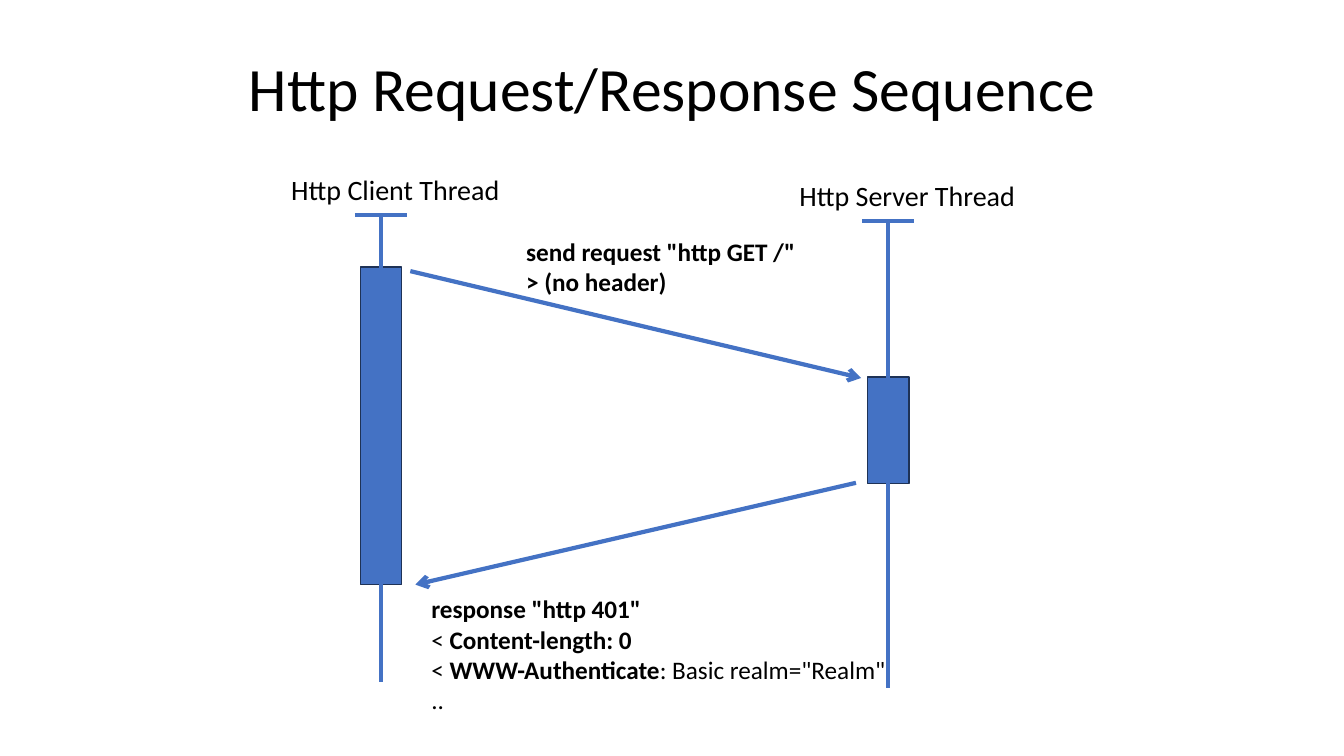
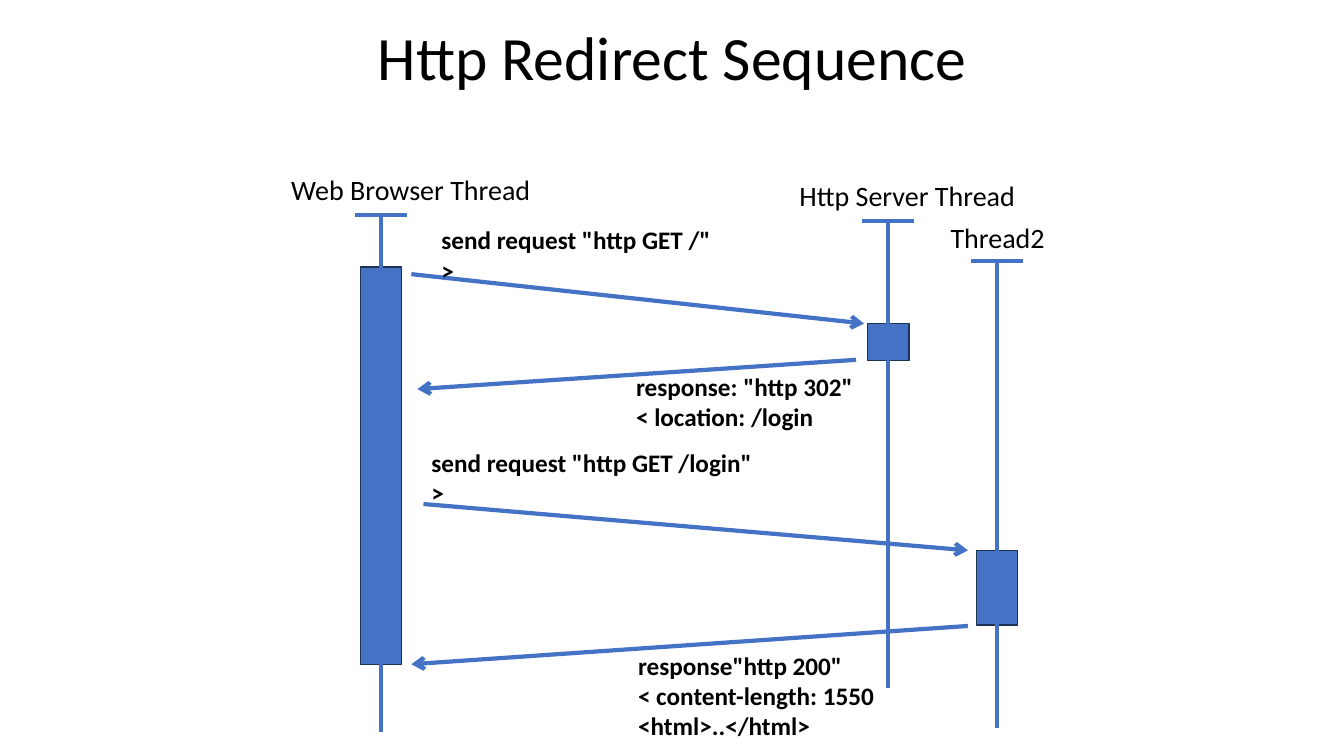
from dataclasses import dataclass

from lxml import etree
from pptx import Presentation
from pptx.dml.color import RGBColor
from pptx.enum.shapes import MSO_CONNECTOR, MSO_SHAPE
from pptx.enum.text import MSO_ANCHOR, MSO_AUTO_SIZE, PP_ALIGN
from pptx.oxml.ns import qn
from pptx.util import Inches, Pt


@dataclass(frozen=True)
class Theme:
    font: str = "Calibri"
    text: RGBColor = RGBColor(0x00, 0x00, 0x00)
    accent: RGBColor = RGBColor(0x44, 0x72, 0xC4)
    outline: RGBColor = RGBColor(0x1E, 0x32, 0x56)
    title_size: int = 44
    lane_size: int = 20
    message_size: int = 18
    line_width: int = 3
    outline_width: int = 1


THEME = Theme()
BAR_WIDTH = 0.41
CAP_WIDTH = 0.52


def bold(*lines):
    """One bold run for each line."""
    return [[(line, True)] for line in lines]


# Lengths are inches. Boxes are (left, top, width, height);
# "span" and "active" are the top and bottom of a lifeline and of its bar.
SERVER = {"name": "Http Server Thread", "label": (7.83, 1.72, 2.37, 0.44),
          "x": 8.81, "span": (2.19, 6.83)}
SEQUENCES = [
    {
        "title": "Http Request/Response Sequence",
        "title_box": (0.92, 0.23, 11.5, 1.36),
        "lanes": [
            {"name": "Http Client Thread", "label": (2.79, 1.66, 2.3, 0.44),
             "x": 3.78, "span": (2.13, 6.77), "active": (2.65, 5.8)},
            {**SERVER, "active": (3.74, 4.8)},
        ],
        "messages": [
            {"start": (4.07, 2.69), "end": (8.54, 3.75),
             "box": (5.12, 2.29, 2.9, 0.71),
             "lines": bold('send request "http GET /"', "> (no header)")},
            {"start": (8.49, 4.79), "end": (4.12, 5.8),
             "box": (4.18, 5.84, 4.77, 1.31),
             "lines": [
                 [('response "http 401"', True)],
                 [("< ", False), ("Content-length: 0", True)],
                 [("< ", False), ("WWW-Authenticate", True),
                  (': Basic realm="Realm"', False)],
                 [("..", False)],
             ]},
        ],
    },
    {
        "title": "Http Redirect Sequence",
        "title_box": (0.92, 0.05, 11.5, 1.11),
        "lanes": [
            {"name": "Web Browser Thread", "label": (2.79, 1.66, 2.59, 0.44),
             "x": 3.78, "span": (2.13, 7.26), "active": (2.65, 6.59)},
            {**SERVER, "active": (3.21, 3.58)},
            {"name": "Thread2", "label": (9.33, 2.14, 1.14, 0.44),
             "x": 9.89, "span": (2.59, 7.22), "active": (5.46, 6.2)},
        ],
        "messages": [
            {"start": (4.08, 2.72), "end": (8.57, 3.21),
             "box": (4.28, 2.18, 2.9, 0.71),
             "lines": bold('send request "http GET /"', ">")},
            {"start": (8.49, 3.57), "end": (4.14, 3.86),
             "box": (6.21, 3.63, 2.38, 0.71),
             "lines": bold('response: "http 302"', "< location: /login")},
            {"start": (4.2, 5), "end": (9.6, 5.46),
             "box": (4.18, 4.39, 3.41, 0.71),
             "lines": bold('send request "http GET /login"', ">")},
            {"start": (9.6, 6.21), "end": (4.08, 6.59),
             "box": (6.23, 6.4, 2.57, 1.01),
             "lines": bold('response"http 200"', "< content-length: 1550",
                           "<html>..</html>")},
        ],
    },
]


def add_text(slide, box, lines, size, wrap=False):
    """Add a text box; each line is a list of (text, bold) runs."""
    frame = slide.shapes.add_textbox(*map(Inches, box)).text_frame
    frame.word_wrap = wrap
    frame.auto_size = MSO_AUTO_SIZE.NONE if wrap else MSO_AUTO_SIZE.SHAPE_TO_FIT_TEXT
    for index, runs in enumerate(lines):
        paragraph = frame.add_paragraph() if index else frame.paragraphs[0]
        for text, is_bold in runs:
            run = paragraph.add_run()
            run.text = text
            run.font.name = THEME.font
            run.font.size = Pt(size)
            run.font.bold = is_bold
            run.font.color.rgb = THEME.text
    return frame


def add_title(slide, text, box):
    frame = add_text(slide, box, [[(text, False)]], THEME.title_size, wrap=True)
    frame.vertical_anchor = MSO_ANCHOR.MIDDLE
    frame.paragraphs[0].alignment = PP_ALIGN.CENTER
    frame.paragraphs[0].line_spacing = 0.9


def add_line(slide, start, end, arrow=False):
    connector = slide.shapes.add_connector(
        MSO_CONNECTOR.STRAIGHT, *map(Inches, (*start, *end)))
    connector.line.color.rgb = THEME.accent
    connector.line.width = Pt(THEME.line_width)
    if arrow:
        etree.SubElement(connector.line._get_or_add_ln(), qn("a:tailEnd"), type="arrow")
    etree.SubElement(connector._element.spPr, qn("a:effectLst"))


def add_lane(slide, lane):
    """Draw the activation bar, lifeline, cap and name of one thread."""
    x, (top, bottom) = lane["x"], lane["span"]
    active_top, active_bottom = lane["active"]
    bar = slide.shapes.add_shape(
        MSO_SHAPE.RECTANGLE, Inches(x - BAR_WIDTH / 2), Inches(active_top),
        Inches(BAR_WIDTH), Inches(active_bottom - active_top))
    bar.shadow.inherit = False
    bar.fill.solid()
    bar.fill.fore_color.rgb = THEME.accent
    bar.line.color.rgb = THEME.outline
    bar.line.width = Pt(THEME.outline_width)
    add_line(slide, (x, top), (x, bottom))
    add_line(slide, (x - CAP_WIDTH / 2, top), (x + CAP_WIDTH / 2, top))
    add_text(slide, lane["label"], [[(lane["name"], False)]], THEME.lane_size)


def add_sequence(deck, sequence):
    slide = deck.slides.add_slide(deck.slide_layouts[6])
    add_title(slide, sequence["title"], sequence["title_box"])
    for lane in sequence["lanes"]:
        add_lane(slide, lane)
    for message in sequence["messages"]:
        add_line(slide, message["start"], message["end"], arrow=True)
        add_text(slide, message["box"], message["lines"], THEME.message_size)


def main():
    deck = Presentation()
    deck.slide_width, deck.slide_height = Inches(13.33), Inches(7.5)
    for sequence in SEQUENCES:
        add_sequence(deck, sequence)
    deck.save("out.pptx")


if __name__ == "__main__":
    main()
